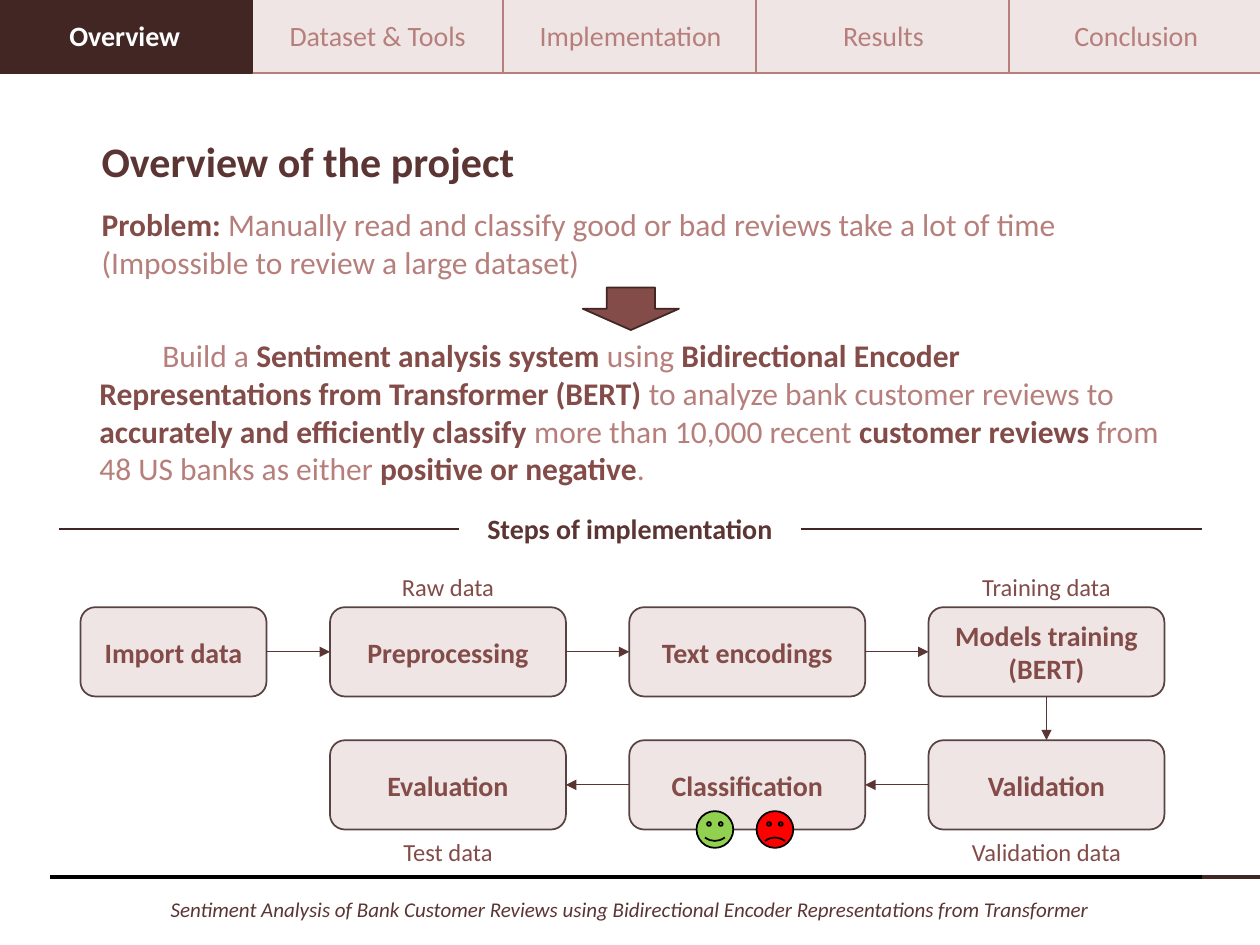
import pptx
import pptx.dml.color
import pptx.enum.shapes
import pptx.enum.text
import pptx.oxml
import pptx.oxml.ns
import pptx.util

Pt = pptx.util.Pt
SHAPE = pptx.enum.shapes.MSO_SHAPE
ALIGN = pptx.enum.text.PP_ALIGN
ANCHOR = pptx.enum.text.MSO_ANCHOR
TOP, LEFT, BOTTOM, RIGHT = range(4)


class Theme:
    font = "Calibri"
    dark, heading, strong, soft = "412624", "5B3533", "834C48", "B67F7B"
    panel, outline, white, black = "F0E5E5", "574342", "FFFFFF", "000000"
    happy, sad = "92D050", "FF0000"
    title, body, label, note, footer = 24, 18, 16, 14, 12


def rgb(value):
    return pptx.dml.color.RGBColor.from_string(value)


def set_all(target, values):
    for name, value in values.items():
        setattr(target, name, value)


class Painter:
    """Holds the theme and the current page; one method per kind of element."""

    def __init__(self, page, theme):
        self.page = page
        self.theme = theme

    def fill_frame(self, frame, paragraphs, size, align):
        """Fill a frame; each paragraph is a list of (text, colour, font values)."""
        for index, spans in enumerate(paragraphs):
            para = frame.add_paragraph() if index else frame.paragraphs[0]
            para.alignment = align
            for text, colour, values in spans:
                span = para.add_run()
                span.text = text
                set_all(span.font, {"name": self.theme.font, "size": Pt(size), **values})
                span.font.color.rgb = rgb(colour)

    def text(self, place, paragraphs, size, align=ALIGN.LEFT, wrap=False):
        box = self.page.shapes.add_textbox(*map(Pt, place))
        set_all(box.text_frame, {
            "word_wrap": wrap,
            "auto_size": pptx.enum.text.MSO_AUTO_SIZE.SHAPE_TO_FIT_TEXT,
        })
        self.fill_frame(box.text_frame, paragraphs, size, align)
        return box

    def shape(self, kind, place, fill, line, lines=(), colour=None, bold=True):
        box = self.page.shapes.add_shape(kind, *map(Pt, place))
        box.shadow.inherit = False
        box.fill.solid()
        box.fill.fore_color.rgb = rgb(fill)
        box.line.color.rgb = rgb(line)
        box.line.width = Pt(1)
        box.text_frame.vertical_anchor = ANCHOR.MIDDLE
        paragraphs = [[(text, colour, {"bold": bold})] for text in lines]
        self.fill_frame(box.text_frame, paragraphs, self.theme.label, ALIGN.CENTER)
        return box

    def line(self, start, end, colour, width):
        line = self.page.shapes.add_connector(
            pptx.enum.shapes.MSO_CONNECTOR.STRAIGHT, *map(Pt, (*start, *end)))
        line.line.color.rgb = rgb(colour)
        line.line.width = Pt(width)
        line._element.spPr.append(pptx.oxml.parse_xml(
            f'<a:effectLst {pptx.oxml.ns.nsdecls("a")}/>'))
        return line

    def arrow(self, source, source_side, target, target_side):
        arrow = self.line((0, 0), (0, 0), self.theme.heading, 0.5)
        arrow.begin_connect(source, source_side)
        arrow.end_connect(target, target_side)
        arrow.line._get_or_add_ln().append(pptx.oxml.parse_xml(
            f'<a:tailEnd {pptx.oxml.ns.nsdecls("a")} type="triangle"/>'))


def draw_tabs(painter, names, current):
    theme = painter.theme
    tabs = list(enumerate(names))
    for index, name in sorted(tabs, key=lambda tab: tab[1] == current):
        active = name == current
        painter.shape(
            SHAPE.RECTANGLE, (-1.4 + 144.5 * index, -2, 145.4, 44),
            theme.dark if active else theme.panel,
            theme.dark if active else theme.soft,
            [name], theme.white if active else theme.soft, active)


def draw_intro(painter):
    theme = painter.theme

    def strong(text):
        return text, theme.strong, {"bold": True}

    def soft(text):
        return text, theme.soft, {"bold": False}

    painter.text((51, 74, 274, 36),
                 [[("Overview of the project", theme.heading, {"bold": True})]], theme.title)
    painter.text((51, 113.8, 636, 51), [
        [strong("Problem: "),
         soft("Manually read and classify good or bad reviews take a lot of time")],
        [soft("(Impossible to review a large dataset)")],
    ], theme.body, wrap=True)
    goal = painter.text((49.7, 188.5, 620, 94.5), [[
        soft("Build a "), strong("Sentiment analysis system"), soft(" using "),
        strong("Bidirectional Encoder Representations from Transformer (BERT) "),
        soft("to analyze bank customer reviews to "),
        strong("accurately and efficiently classify "),
        soft("more than 10,000 recent "), strong("customer reviews "),
        soft("from 48 US banks as either "), strong("positive or negative"), soft("."),
    ]], theme.body, wrap=True)
    first_line = goal.text_frame.paragraphs[0]._p.get_or_add_pPr()
    first_line.set("indent", str(Pt(36)))
    painter.shape(SHAPE.DOWN_ARROW, (333, 164.3, 55, 24.3), theme.strong, theme.dark)


def draw_steps_heading(painter):
    theme = painter.theme
    heading = painter.text(
        (262.4, 289, 195.2, 26.6),
        [[("Steps of implementation", theme.heading, {"bold": True})]],
        theme.label, ALIGN.CENTER)
    for side, far_end in ((LEFT, 33.8), (RIGHT, 687)):
        rule = painter.line((360, 302.3), (far_end, 302.3), theme.dark, 1.5)
        rule.begin_connect(heading, side)


def draw_flow(painter):
    theme = painter.theme
    columns = [188.6 + 171 * index for index in range(3)]
    width, height, upper, lower = 134.8, 51, 347, 423

    def step(left, top, *lines, wide=width):
        return painter.shape(SHAPE.ROUNDED_RECTANGLE, (left, top, wide, height),
                             theme.panel, theme.outline, lines, theme.strong)

    imported = step(46, upper, "Import data", wide=106.3)
    preprocessing = step(columns[0], upper, "Preprocessing")
    encodings = step(columns[1], upper, "Text encodings")
    training = step(columns[2], upper, "Models training", "(BERT)")
    validation = step(columns[2], lower, "Validation")
    classification = step(columns[1], lower, "Classification")
    evaluation = step(columns[0], lower, "Evaluation")

    for source, source_side, target, target_side in (
            (imported, RIGHT, preprocessing, LEFT),
            (preprocessing, RIGHT, encodings, LEFT),
            (encodings, RIGHT, training, LEFT),
            (training, BOTTOM, validation, TOP),
            (validation, LEFT, classification, RIGHT),
            (classification, LEFT, evaluation, RIGHT)):
        painter.arrow(source, source_side, target, target_side)

    for text, column, top, wide in (
            ("Raw data", 0, 323.5, 72), ("Training data", 2, 323.5, 95),
            ("Test data", 0, 474.5, 71), ("Validation data", 2, 475, 106.5)):
        left = columns[column] + (width - wide) / 2
        painter.text((left, top, wide, 24.2), [[(text, theme.strong, {})]],
                     theme.note, ALIGN.CENTER)

    painter.shape(SHAPE.SMILEY_FACE, (398, 463.5, 21, 21), theme.happy, theme.black)
    frown = painter.shape(SHAPE.SMILEY_FACE, (432.3, 463.5, 21, 21), theme.sad, theme.black)
    frown.adjustments[0] = -0.047


def draw_footer(painter):
    theme = painter.theme
    painter.line((38, 501.2), (720, 501.2), theme.dark, 2.25)
    painter.line((28.8, 501.2), (687, 501.2), theme.black, 2.25)
    painter.text((70.5, 508.5, 579, 21.8), [[(
        "Sentiment Analysis of Bank Customer Reviews using Bidirectional Encoder "
        "Representations from Transformer", theme.heading, {"italic": True})]],
        theme.footer, ALIGN.CENTER)


def main():
    deck = pptx.Presentation()
    set_all(deck, {"slide_width": Pt(720), "slide_height": Pt(540)})
    painter = Painter(deck.slides.add_slide(deck.slide_layouts[6]), Theme())
    draw_footer(painter)
    draw_tabs(painter, ["Overview", "Dataset & Tools", "Implementation",
                        "Results", "Conclusion"], "Overview")
    draw_steps_heading(painter)
    draw_flow(painter)
    draw_intro(painter)
    deck.save("out.pptx")


if __name__ == "__main__":
    main()
